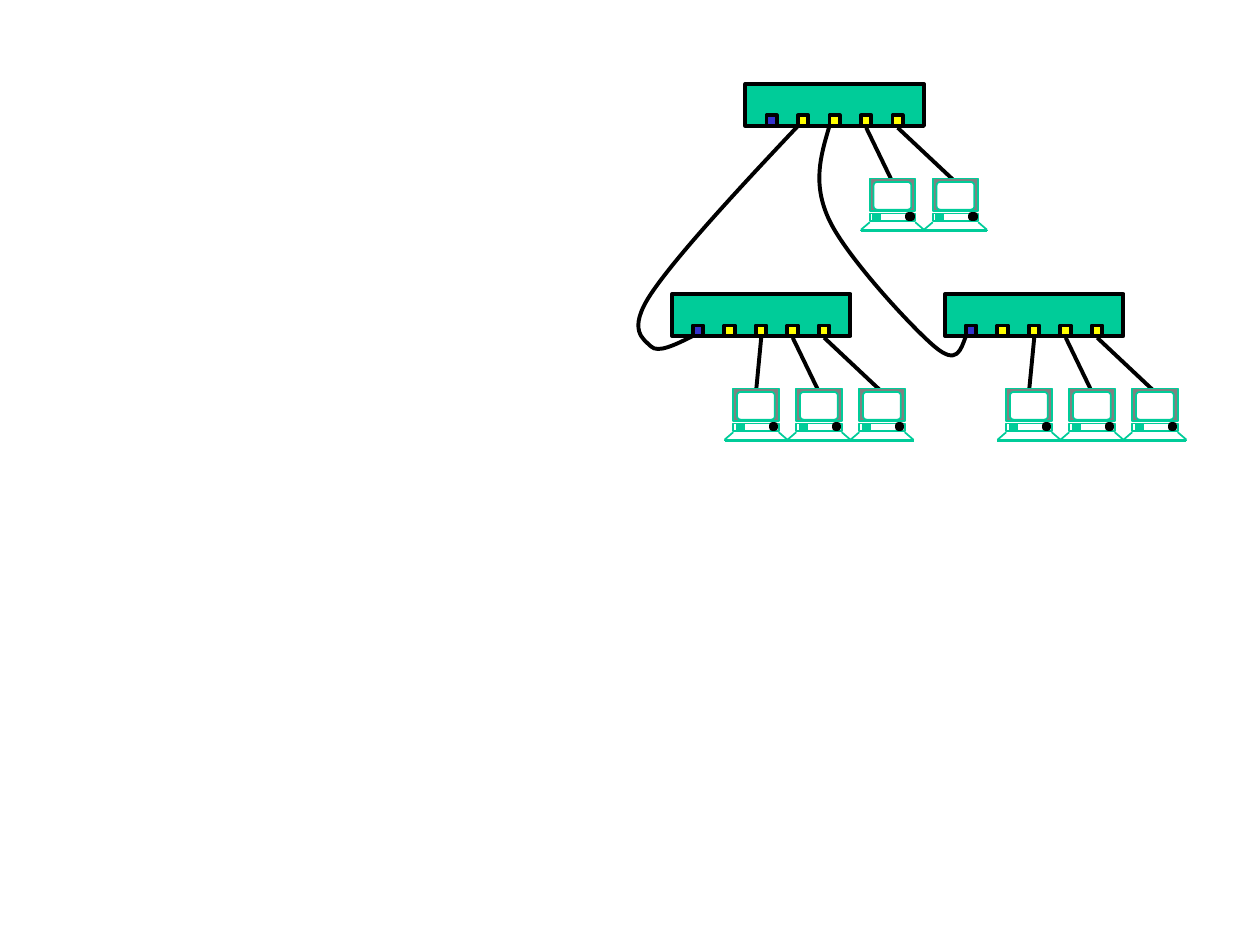
from pptx import Presentation
from pptx.dml.color import RGBColor as RGB
from pptx.enum.shapes import MSO_CONNECTOR as LINK, MSO_SHAPE as SHAPE
from pptx.oxml.ns import qn
from pptx.util import Pt
from lxml.etree import SubElement as Sub

HUES = {"green": "00CC99", "gray": "808080", "white": "FFFFFF",
        "black": "000000", "yellow": "FFFF00", "blue": "3333CC"}


def box(group, x, y, w, h, fill, line, width, kind=SHAPE.RECTANGLE):
    shape = group.shapes.add_shape(kind, Pt(x), Pt(y), Pt(w), Pt(h))
    shape.shadow.inherit = False
    if fill:
        shape.fill.solid()
        shape.fill.fore_color.rgb = RGB.from_string(HUES[fill])
    else:
        shape.fill.background()
    shape.line.color.rgb = RGB.from_string(HUES[line])
    shape.line.width = Pt(width)
    return shape


def wire(group, x1, y1, x2, y2, hue, width):
    link = group.shapes.add_connector(LINK.STRAIGHT, Pt(x1), Pt(y1), Pt(x2), Pt(y2))
    link.line.color.rgb = RGB.from_string(HUES[hue])
    link.line.width = Pt(width)
    Sub(link._element.spPr, qn("a:effectLst"))


deck = Presentation()
deck.slide_width, deck.slide_height = Pt(720), Pt(540)
slide = deck.slides.add_slide(deck.slide_layouts[6])

# Hubs, each with its ports and computers: left, top, number of computers
for left, top, count in [(384, 168, 3), (540, 168, 3), (426, 48, 2)]:
    group = slide.shapes.add_group_shape()
    box(group, left, top, 102, 24, "green", "black", 2.25)

    # Ports, right to left; the leftmost is the uplink
    for i in range(4, -1, -1):
        box(group, left + 12 + 18 * i, top + 18, 6, 6,
            "yellow" if i else "blue", "black", 2.25)

    # Cables to the computers
    for i in range(count):
        wire(group, left + 87 - 18 * i, top + 25,
             left + 120 - 36 * i, top + 56, "black", 2.25)

    # Computers, right to left
    for i in range(count):
        mid = left + 120 - 36 * i
        box(group, mid - 13, top + 54, 26, 18.7, "gray", "green", 1)
        glass = box(group, mid - 10.8, top + 56, 21.6, 15.8,
                    "white", "green", 1, SHAPE.ROUNDED_RECTANGLE)
        glass.adjustments[0] = 0.125

        # Keyboard
        wire(group, mid + 13, top + 79, mid + 18, top + 83.3, "green", 1)
        for y in (83.3, 84):
            wire(group, mid + 18, top + y, mid - 18, top + y, "green", 1)
        wire(group, mid + 18, top + 83.3, mid + 18, top + 84, "green", 1)
        wire(group, mid - 13, top + 79, mid - 18, top + 83.3, "green", 1)
        if i == count - 1:
            wire(group, mid - 18, top + 83.3, mid - 18, top + 84, "green", 1)

        # Case with drive and button
        box(group, mid - 13, top + 74, 26, 4.5, None, "green", 1)
        wire(group, mid - 6.5, top + 76.2, mid - 11.5, top + 76.2, "green", 4)
        box(group, mid + 9.4, top + 75, 1.4, 1.4, "black", "black", 4)

# Curved uplinks: a start point, then three points for each Bezier part
uplinks = [
    [(552, 192), (549, 200), (547, 209), (534, 198), (521, 187),
     (484, 147), (474, 126), (464, 105), (469, 89), (474, 72)],
    [(396, 192), (386, 197), (376, 202), (372, 198), (368, 194),
     (358, 189), (372, 168), (386, 147), (421, 109), (456, 72)],
]
for spots in uplinks:
    start, *rest = [(Pt(x), Pt(y)) for x, y in spots]
    pen = slide.shapes.build_freeform(*start)
    pen.add_line_segments(rest, close=False)
    curve = pen.convert_to_shape()
    curve.shadow.inherit = False
    curve.fill.background()
    curve.line.color.rgb = RGB.from_string(HUES["black"])
    curve.line.width = Pt(2.25)

    # Turn each three straight parts into one Bezier part
    trace = curve._element.find(".//" + qn("a:path"))
    for n, part in enumerate(trace.findall(qn("a:lnTo"))):
        if n % 3 == 0:
            bend = Sub(trace, qn("a:cubicBezTo"))
        bend.append(part[0])
        trace.remove(part)

deck.save("out.pptx")
